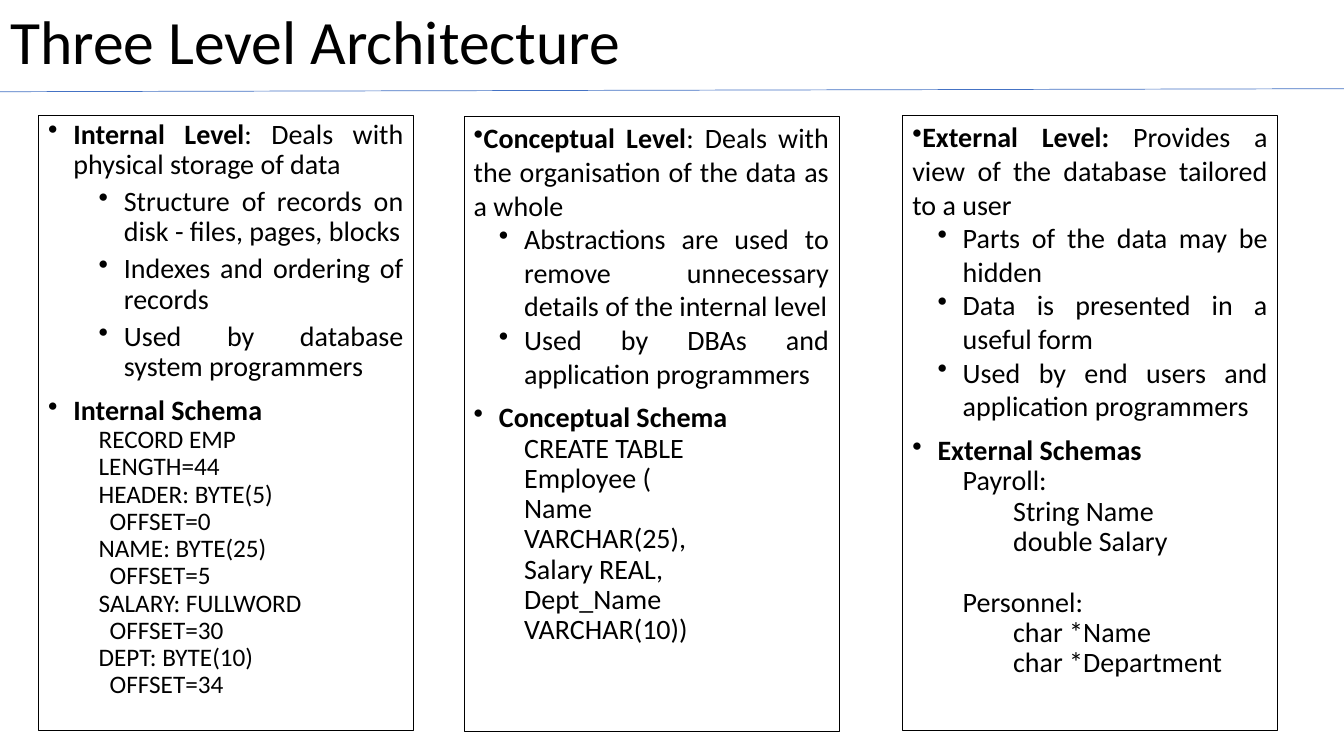
from dataclasses import dataclass

from lxml import etree
from pptx import Presentation
from pptx.dml.color import RGBColor
from pptx.enum.shapes import MSO_CONNECTOR, MSO_SHAPE
from pptx.enum.text import MSO_ANCHOR, MSO_AUTO_SIZE, PP_ALIGN
from pptx.oxml.ns import qn
from pptx.util import Pt

RECT = MSO_SHAPE.RECTANGLE
STRAIGHT = MSO_CONNECTOR.STRAIGHT
MIDDLE, TOP = MSO_ANCHOR.MIDDLE, MSO_ANCHOR.TOP
LEFT, JUSTIFY = PP_ALIGN.LEFT, PP_ALIGN.JUSTIFY
FIXED = MSO_AUTO_SIZE.NONE
SCALE = 9144  # 100 px to the inch


@dataclass(frozen=True)
class Theme:
    font: str = "Calibri"
    ink: RGBColor = RGBColor(0, 0, 0)
    rule: RGBColor = RGBColor(0x44, 0x72, 0xC4)
    title: int = 44
    body: int = 20
    small: int = 18


@dataclass(frozen=True)
class Style:
    margin: int
    indent: int = 0
    level: int = 1
    bullet: bool = False
    lines: float = 0.9
    before: int = 0
    size: int = Theme.body


THEME = Theme()
STYLES = {
    "lead": Style(25, -25, 0, True, before=10),
    "point": Style(75, -25, bullet=True, before=5),
    "open": Style(0, -25, 0, True, 1.0),
    "item": Style(50, -25, bullet=True, lines=1.0),
    "code": Style(50),
    "next": Style(50, before=22),
    "field": Style(50, -25),
    "record": Style(50, size=THEME.small),
    "offset": Style(61, size=THEME.small),
}

# Each paragraph: style, bold text, plain text
INTERNAL = [
    ("lead", "Internal Level", ": Deals with physical storage of data"),
    ("point", "", "Structure of records on disk - files, pages, blocks"),
    ("point", "", "Indexes and ordering of records"),
    ("point", "", "Used by database system programmers"),
    ("lead", "Internal Schema", ""),
    ("record", "", "RECORD EMP"),
    ("record", "", "LENGTH=44"),
    ("record", "", "HEADER: BYTE(5)"),
    ("offset", "", "OFFSET=0"),
    ("record", "", "NAME: BYTE(25)"),
    ("offset", "", "OFFSET=5"),
    ("record", "", "SALARY: FULLWORD"),
    ("offset", "", "OFFSET=30"),
    ("record", "", "DEPT: BYTE(10)"),
    ("offset", "", "OFFSET=34"),
]
CONCEPT = [
    ("open", "Conceptual Level",
     ": Deals with the organisation of the data as a whole"),
    ("item", "", "Abstractions are used to remove unnecessary details "
                 "of the internal level"),
    ("item", "", "Used by DBAs and application programmers"),
    ("lead", "Conceptual Schema", ""),
    ("code", "", "CREATE TABLE"),
    ("code", "", "Employee ("),
    ("code", "", "Name"),
    ("code", "", "VARCHAR(25),"),
    ("code", "", "Salary REAL,"),
    ("code", "", "Dept_Name"),
    ("code", "", "VARCHAR(10))"),
]
EXTERNAL = [
    ("open", "External Level: ",
     "Provides a view of the database tailored to a user"),
    ("item", "", "Parts of the data may be hidden"),
    ("item", "", "Data is presented in a useful form"),
    ("item", "", "Used by end users and application programmers"),
    ("lead", "External Schemas", ""),
    ("code", "", "Payroll:"),
    ("field", "", " \t\tString Name"),
    ("field", "", " \t\tdouble Salary"),
    ("next", "", "Personnel:"),
    ("field", "", " \t\tchar *Name"),
    ("field", "", " \t\tchar *Department"),
]
COLUMNS = [(38, 114, INTERNAL), (460, 115, CONCEPT), (895, 114, EXTERNAL)]


def px(value):
    return value * SCALE


def add_run(para, text, size, bold=False):
    run = para.add_run()
    run.text = text
    font = run.font
    font.name, font.size, font.bold = THEME.font, Pt(size), bold
    font.color.rgb = THEME.ink


def set_para(para, style):
    """Apply spacing, indents and the bullet of a style."""
    para.alignment = JUSTIFY
    para.level = style.level
    para.line_spacing = style.lines
    para.space_before = Pt(style.before)
    props = para._p.get_or_add_pPr()
    props.set("marL", str(px(style.margin)))
    props.set("indent", str(px(style.indent)))
    if style.bullet:
        etree.SubElement(props, qn("a:buChar")).set("char", "•")
    else:
        etree.SubElement(props, qn("a:buNone"))


def add_title(slide, text):
    title = slide.shapes.title
    title.left, title.top = 0, 0
    title.width, title.height = px(1333), px(88)
    frame = title.text_frame
    frame.auto_size = FIXED
    frame.vertical_anchor = MIDDLE
    para = frame.paragraphs[0]
    para.alignment = LEFT
    para.line_spacing = 0.9
    add_run(para, text, THEME.title)


def add_rule(slide):
    rule = slide.shapes.add_connector(STRAIGHT, 0, px(91), px(1333), px(88))
    rule.line.color.rgb = THEME.rule
    rule.line.width = Pt(0.5)
    etree.SubElement(rule._element.spPr, qn("a:effectLst"))


def add_column(slide, left, top, paras):
    box = slide.shapes.add_shape(RECT, px(left), px(top), px(372), px(610))
    box.shadow.inherit = False
    box.fill.background()
    box.line.color.rgb = THEME.ink
    box.line.width = Pt(0.25)
    frame = box.text_frame
    frame.word_wrap = True
    frame.vertical_anchor = TOP
    for i, (kind, bold, plain) in enumerate(paras):
        para = frame.add_paragraph() if i else frame.paragraphs[0]
        style = STYLES[kind]
        set_para(para, style)
        if bold:
            add_run(para, bold, style.size, True)
        if plain:
            add_run(para, plain, style.size)


def main():
    deck = Presentation()
    deck.slide_width, deck.slide_height = px(1333), px(750)
    slide = deck.slides.add_slide(deck.slide_layouts[5])
    add_title(slide, "Three Level Architecture")
    add_rule(slide)
    for left, top, paras in COLUMNS:
        add_column(slide, left, top, paras)
    deck.save("out.pptx")


if __name__ == "__main__":
    main()
